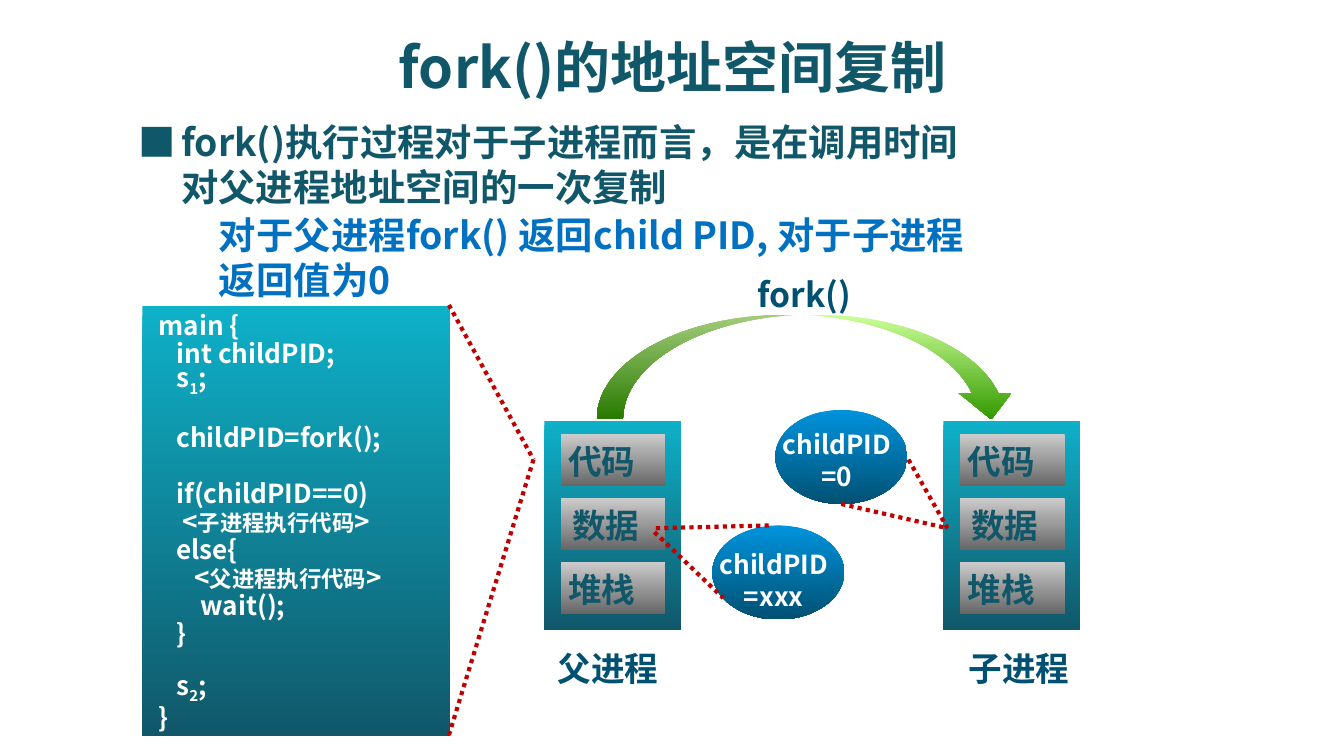
from dataclasses import dataclass
from typing import Optional

from lxml.etree import SubElement
from pptx import Presentation
from pptx.dml.color import RGBColor
from pptx.enum.dml import MSO_LINE
from pptx.enum.shapes import MSO_CONNECTOR, MSO_SHAPE
from pptx.enum.text import MSO_ANCHOR, PP_ALIGN
from pptx.oxml.ns import qn
from pptx.util import Pt

TEAL = RGBColor(0x11, 0x57, 0x6A)
CYAN = RGBColor(0x0E, 0xB1, 0xC8)
NAVY = RGBColor(0x00, 0x50, 0x72)
SKY = RGBColor(0x00, 0x93, 0xDD)
BLUE = RGBColor(0x00, 0x70, 0xC0)
LIME = RGBColor(0xCC, 0xFF, 0x99)
GREEN = RGBColor(0x33, 0x99, 0x00)
SILVER = RGBColor(0xCC, 0xCC, 0xCC)
GRAY = RGBColor(0x66, 0x66, 0x66)
RED = RGBColor(0xC0, 0x00, 0x00)
WHITE = RGBColor(0xFF, 0xFF, 0xFF)
FONT = "Noto Sans CJK SC"
BULLET_FONT = "Noto Sans CJK JP"

Point = tuple[float, float]
Box = tuple[float, float, float, float]


@dataclass(frozen=True)
class Run:
    text: str
    size: float = 14
    baseline: int = 0


@dataclass(frozen=True)
class Line:
    runs: tuple[Run, ...]
    indent: float = 0
    before: float = 0
    align: Optional[PP_ALIGN] = None


@dataclass(frozen=True)
class Process:
    left: float
    caption: str
    caption_left: float


@dataclass(frozen=True)
class Bubble:
    left: float
    top: float
    text_top: float
    value: str
    links: tuple[tuple[Point, Point], ...]


CODE = (
    Line((Run("main {"),)),
    Line((Run("int childPID;"),), 9.6),
    Line((Run("s"), Run("1", baseline=-25000), Run(";")), 9.6),
    Line((Run("childPID=fork();"),), 9.6, 15),
    Line((Run("if(childPID==0)"),), 9.6, 15),
    Line((Run("<"), Run("子进程执行代码", 12), Run(">")), 12.8),
    Line((Run("else{"),), 9.6),
    Line((Run("<"), Run("父进程执行代码", 12), Run(">")), 19.2),
    Line((Run("wait();"),), 22.5),
    Line((Run("}"),), 9.6),
    Line((Run("s"), Run("2", baseline=-25000), Run(";")), 9.6, 15),
    Line((Run("}"),)),
)
SEGMENTS = (("代码", 5.8), ("数据", 7.9), ("堆栈", 5.8))
PROCESSES = (
    Process(505.4, "子进程", 511.9),
    Process(291.6, "父进程", 291.6),
)
BUBBLES = (
    Bubble(381.6, 281.5, 290.2, "=xxx",
           (((350.6, 285.1), (387.4, 320.4)), ((351.4, 283), (413.3, 281.5)))),
    Bubble(415.4, 219.6, 226.1, "=0",
           (((486.7, 246.2), (507.6, 283)), ((450.7, 270), (507.6, 283)))),
)
CODE_TIP = (285.8, 246.2)
CODE_CORNERS = ((240.5, 393.8), (240.5, 163.4))


def add_text(s, box: Box, lines: tuple[Line, ...], color: RGBColor, *,
             spacing: Optional[float] = None, wrap: bool = True,
             anchor: MSO_ANCHOR = MSO_ANCHOR.TOP, font: str = FONT) -> None:
    tf = s.shapes.add_textbox(*map(Pt, box)).text_frame
    tf.word_wrap = wrap
    tf.vertical_anchor = anchor
    for i, line in enumerate(lines):
        p = tf.paragraphs[0] if i == 0 else tf.add_paragraph()
        p.alignment = line.align
        p.space_before = Pt(line.before)
        if spacing:
            p.line_spacing = Pt(spacing)
        if line.indent:
            p._p.get_or_add_pPr().set("marL", str(Pt(line.indent)))
        for run in line.runs:
            r = p.add_run()
            r.text = run.text
            r.font.size = Pt(run.size)
            r.font.bold = True
            r.font.name = font
            r.font.color.rgb = color
            rPr = r._r.get_or_add_rPr()
            SubElement(rPr, qn("a:ea")).set("typeface", font)
            if run.baseline:
                rPr.set("baseline", str(run.baseline))


def add_label(s, box: Box, text: str, color: RGBColor) -> None:
    add_text(s, box, (Line((Run(text, 18),)),), color,
             wrap=False, anchor=MSO_ANCHOR.MIDDLE)


def add_gradient(s, kind: MSO_SHAPE, box: Box, top: RGBColor, bottom: RGBColor) -> None:
    sp = s.shapes.add_shape(kind, *map(Pt, box))
    sp.shadow.inherit = False
    sp.line.fill.background()
    sp.fill.gradient()
    sp.fill.gradient_angle = 270
    for stop, color in zip(sp.fill.gradient_stops, (top, bottom)):
        stop.color.rgb = color


def add_link(s, start: Point, end: Point) -> None:
    sp = s.shapes.add_connector(MSO_CONNECTOR.STRAIGHT, *map(Pt, start + end))
    sp.line.color.rgb = RED
    sp.line.width = Pt(2.25)
    sp.line.dash_style = MSO_LINE.ROUND_DOT
    SubElement(sp._element.spPr, qn("a:effectLst"))


def add_process(s, process: Process) -> None:
    x = process.left
    add_gradient(s, MSO_SHAPE.RECTANGLE, (x, 225.4, 73.4, 112.3), CYAN, TEAL)
    for i, (name, dx) in enumerate(SEGMENTS):
        y = 232.6 + 34.2 * i
        add_gradient(s, MSO_SHAPE.RECTANGLE, (x + 8.7, y, 56.2, 28), SILVER, GRAY)
        add_label(s, (x + dx, y, 51.1, 28.8), name, TEAL)
    add_label(s, (process.caption_left, 343.4, 69.1, 28.8), process.caption, NAVY)


def add_bubble(s, bubble: Bubble) -> None:
    add_gradient(s, MSO_SHAPE.OVAL, (bubble.left, bubble.top, 70.6, 50.4), SKY, NAVY)
    lines = (Line((Run("childPID"),)),
             Line((Run(bubble.value),), align=PP_ALIGN.CENTER))
    add_text(s, (bubble.left - 3.2, bubble.text_top, 74.2, 41), lines, WHITE,
             spacing=17, wrap=False, anchor=MSO_ANCHOR.MIDDLE)
    for start, end in bubble.links:
        add_link(s, start, end)


def main() -> None:
    prs = Presentation()
    prs.slide_width, prs.slide_height = Pt(720), Pt(405)
    s = prs.slides.add_slide(prs.slide_layouts[6])

    add_text(s, (157.7, 15.1, 405.4, 40.3),
             (Line((Run("fork()的地址空间复制", 30),), align=PP_ALIGN.CENTER),),
             TEAL, anchor=MSO_ANCHOR.MIDDLE)
    add_text(s, (90, 60.5, 438.5, 56.2),
             (Line((Run("fork()执行过程对于子进程而言，是在调用时间对父进程地址空间的一次复制", 20),)),),
             TEAL, spacing=24)
    add_text(s, (67, 60.5, 33.8, 31.7), (Line((Run("■", 20),)),), TEAL,
             spacing=24, wrap=False, font=BULLET_FONT)
    add_text(s, (110.2, 110.2, 419, 54),
             (Line((Run("对于父进程fork() 返回child PID, 对于子进程返回值为0", 20),)),),
             BLUE, spacing=24)

    add_gradient(s, MSO_SHAPE.RECTANGLE, (76.3, 164.2, 164.9, 230.4), CYAN, TEAL)
    add_text(s, (77.8, 164.2, 185, 236), CODE, WHITE, spacing=15)
    add_gradient(s, MSO_SHAPE.CURVED_DOWN_ARROW, (319.7, 168.5, 225.4, 56.2), LIME, GREEN)
    add_label(s, (398.9, 143.3, 66.2, 28.8), "fork()", NAVY)

    for process in PROCESSES:
        add_process(s, process)
    for bubble in BUBBLES:
        add_bubble(s, bubble)
    for corner in CODE_CORNERS:
        add_link(s, corner, CODE_TIP)
    prs.save("out.pptx")


if __name__ == "__main__":
    main()
